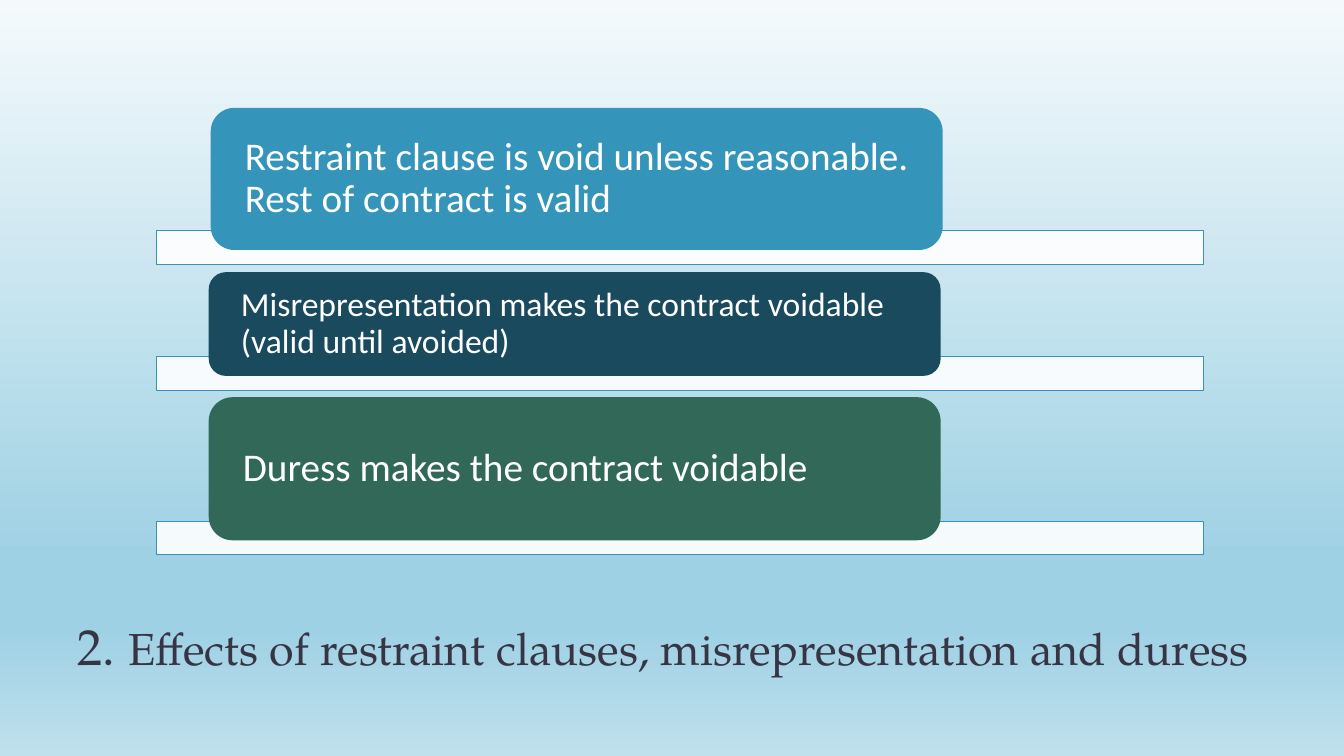
import copy

import pptx
import pptx.dml.color
import pptx.enum.dml
import pptx.enum.shapes
import pptx.enum.text
import pptx.oxml
import pptx.oxml.ns
import pptx.util

RGBColor = pptx.dml.color.RGBColor
WHITE = RGBColor(0xFF, 0xFF, 0xFF)
INK = RGBColor(0x37, 0x35, 0x45)
BLUE = RGBColor(0x34, 0x94, 0xBA)
NAVY = RGBColor(0x1A, 0x4A, 0x5D)
GREEN = RGBColor(0x31, 0x68, 0x57)
SKY_TOP = RGBColor(0xF4, 0xFA, 0xFC)
SKY_DEEP = RGBColor(0x9F, 0xD1, 0xE4)
SKY_BOTTOM = RGBColor(0xBF, 0xE0, 0xED)

Inches = pptx.util.Inches
SLIDE_WIDTH, SLIDE_HEIGHT = 13.33, 7.5
BAR_LEFT, BAR_WIDTH, BAR_HEIGHT = 1.55, 10.39, 0.33
CARD_WIDTH = 7.26
CARD_OVERLAP = 0.19  # how far a card reaches over its bar


def add_text(paragraph, text, font="Calibri", size=28, color=WHITE, spacing=0.9):
    paragraph.alignment = pptx.enum.text.PP_ALIGN.LEFT
    paragraph.line_spacing = spacing
    run = paragraph.add_run()
    run.text = text
    run.font.name = font
    run.font.size = pptx.util.Pt(size)
    run.font.color.rgb = color


def add_box(shape_kind, left, top, width, height, color):
    shape = slide.shapes.add_shape(
        shape_kind, Inches(left), Inches(top), Inches(width), Inches(height))
    shape.shadow.inherit = False
    shape.fill.solid()
    shape.fill.fore_color.rgb = color
    return shape


presentation = pptx.Presentation()
presentation.slide_width = Inches(SLIDE_WIDTH)
presentation.slide_height = Inches(SLIDE_HEIGHT)
slide = presentation.slides.add_slide(presentation.slide_layouts[5])

# Background: vertical gradient with four stops
background = slide.background.fill
background.gradient()
background.gradient_angle = 270
stop_list = slide.background._cSld.find(".//" + pptx.oxml.ns.qn("a:gsLst"))
while len(stop_list) < 4:
    stop_list.append(copy.deepcopy(stop_list[-1]))
sky = [(0, SKY_TOP), (0.74, SKY_DEEP), (0.83, SKY_DEEP), (1, SKY_BOTTOM)]
for stop, (position, color) in zip(background.gradient_stops, sky):
    stop.position = position
    stop.color.rgb = color

# Title below the list
title = slide.shapes.title
title.left, title.top = Inches(0.67), Inches(5.58)
title.width, title.height = Inches(12), Inches(1.17)
title.text_frame.auto_size = pptx.enum.text.MSO_AUTO_SIZE.NONE
title.text_frame.vertical_anchor = pptx.enum.text.MSO_ANCHOR.BOTTOM
for text, size in [
        ("2. ", 36),
        ("Effects of restraint clauses, misrepresentation and duress", 32)]:
    add_text(title.text_frame.paragraphs[0], text, font="TeX Gyre Pagella",
             size=size, color=INK, spacing=0.8)

# Three cards, each resting on a translucent bar
effects = [
    ("Restraint clause is void unless reasonable. Rest of contract is valid",
     28, BLUE, 2.09, 1.07, 1.41),
    ("Misrepresentation makes the contract voidable (valid until avoided)",
     24, NAVY, 2.07, 2.7, 1.03),
    ("Duress makes the contract voidable", 28, GREEN, 2.07, 3.94, 1.42),
]
for text, size, color, left, top, height in effects:
    bar = add_box(pptx.enum.shapes.MSO_SHAPE.RECTANGLE, BAR_LEFT,
                  top + height - CARD_OVERLAP, BAR_WIDTH, BAR_HEIGHT, WHITE)
    bar.line.color.rgb = BLUE
    bar.line.width = pptx.util.Pt(0.5)
    bar_color = bar.fill._xPr.find(".//" + pptx.oxml.ns.qn("a:srgbClr"))
    bar_color.append(pptx.oxml.parse_xml(
        '<a:alpha xmlns:a="http://schemas.openxmlformats.org/drawingml/2006/main"'
        ' val="90000"/>'))

    card = add_box(pptx.enum.shapes.MSO_SHAPE.ROUNDED_RECTANGLE,
                   left, top, CARD_WIDTH, height, color)
    card.line.fill.background()
    frame = card.text_frame
    frame.word_wrap = True
    frame.vertical_anchor = pptx.enum.text.MSO_ANCHOR.MIDDLE
    frame.margin_left = frame.margin_right = Inches(0.27)
    frame.margin_top = frame.margin_bottom = 0
    add_text(frame.paragraphs[0], text, size=size)

presentation.save("out.pptx")
